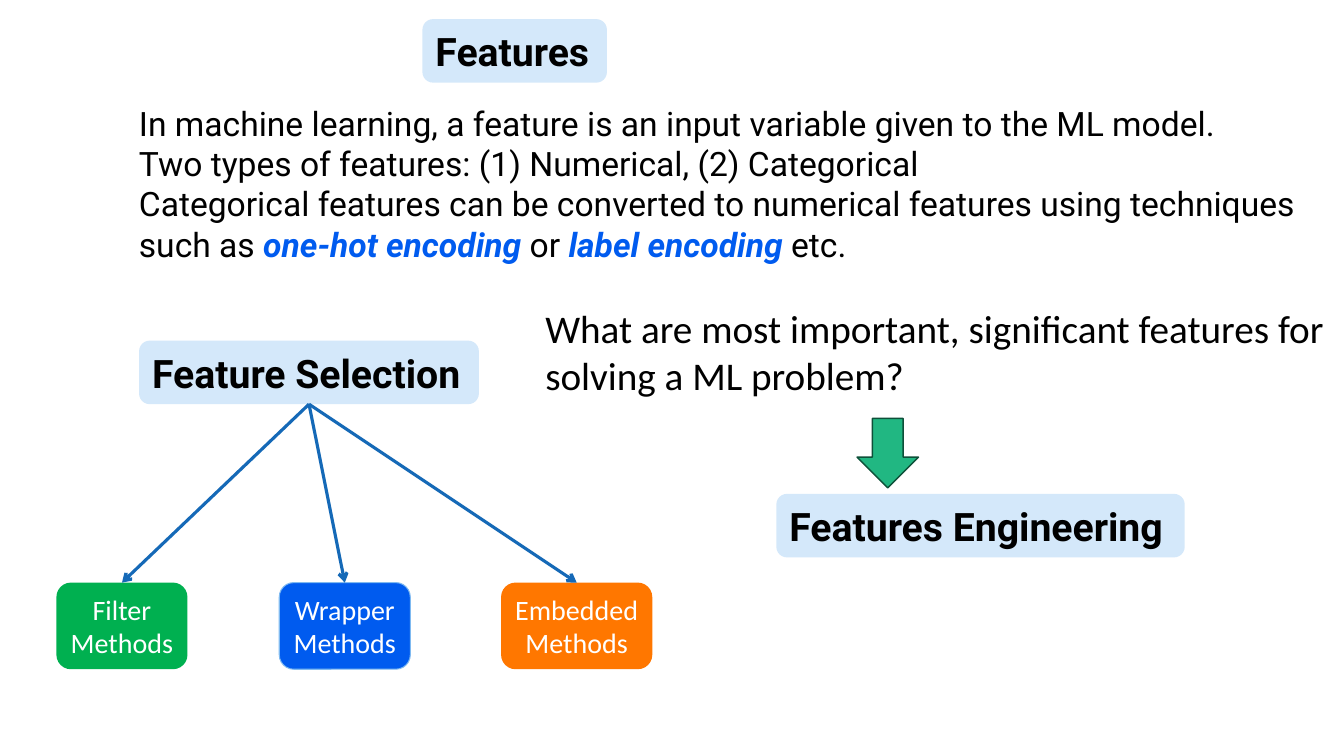
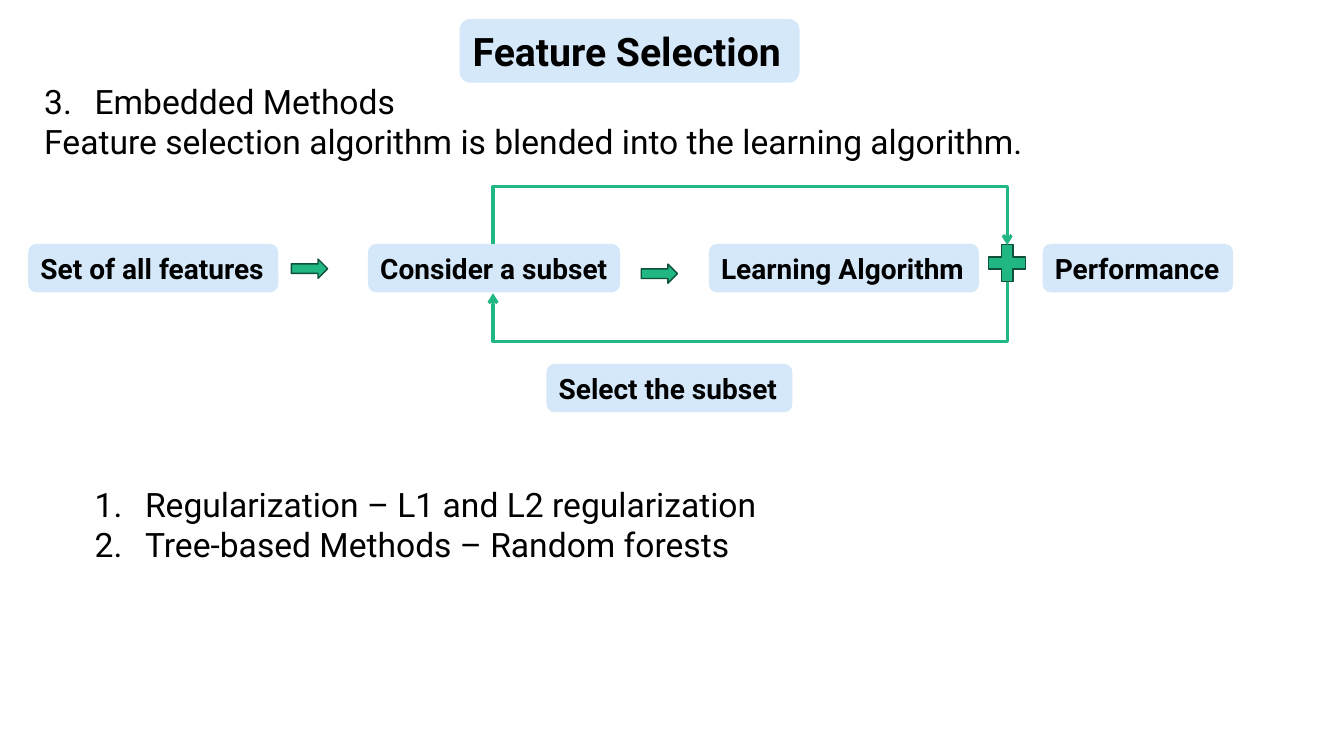
from dataclasses import dataclass
from typing import Any, NamedTuple

from lxml import etree
from pptx import Presentation, util as u
from pptx.dml.color import RGBColor
from pptx.enum import shapes, text
from pptx.oxml.ns import qn

HUES = {
    "black": "000000", "white": "FFFFFF", "pale": "D4E8FA", "blue": "005BEF",
    "sky": "7FBAF1", "steel": "1569B7", "leaf": "00B050", "orange": "FF7700",
    "green": "21B782", "dark": "0E5039",
}
KIND = shapes.MSO_SHAPE
LINK = shapes.MSO_CONNECTOR
TOP, BOTTOM = 0, 2  # connection sites of a box
PLUS_TOP, PLUS_BASE = 3, 1  # connection sites of a plus


class Run(NamedTuple):
    text: str
    key: bool = False  # blue bold italic key term


@dataclass
class Style:
    size: float
    face: str = "Roboto"
    hue: str = "black"
    bold: bool = False
    align: Any = text.PP_ALIGN.LEFT
    wrap: bool = True


@dataclass
class Para:
    runs: list[Run]
    number: int = 0  # first number of an ordered list
    indent: float = 0.5


@dataclass
class Box:
    left: float
    top: float
    wide: float
    high: float
    words: str
    fill: str = "pale"
    edge: str = ""


HEAD = Style(28, bold=True)
STEP = Style(20, bold=True)
BODY = Style(24)
ASK = Style(28, "Calibri")
LEAF = Style(20, "Calibri", "white", align=text.PP_ALIGN.CENTER, wrap=False)


def put(item: Any, **values: Any) -> None:
    for name, value in values.items():
        setattr(item, name, value)


def tint(name: str) -> RGBColor:
    return RGBColor.from_string(HUES[name])


def plain(words: str) -> list[Para]:
    return [Para([Run(line)]) for line in words.split("\n")]


def write(frame: Any, paras: list[Para], style: Style) -> None:
    frame.word_wrap = style.wrap
    for i, para in enumerate(paras):
        row = frame.add_paragraph() if i else frame.paragraphs[0]
        row.alignment = style.align
        if para.number:
            props = row._p.get_or_add_pPr()
            props.set("marL", str(u.Inches(para.indent)))
            props.set("indent", str(u.Inches(-0.5)))
            mark = etree.SubElement(props, qn("a:buAutoNum"))
            mark.set("type", "arabicPeriod")
            if para.number > 1:
                mark.set("startAt", str(para.number))
        for part in para.runs:
            run = row.add_run()
            run.text = part.text
            put(run.font, name=style.face, size=u.Pt(style.size),
                bold=style.bold or part.key, italic=part.key)
            run.font.color.rgb = tint("blue" if part.key else style.hue)


def note(slide: Any, left: float, top: float, wide: float, high: float,
         paras: list[Para], style: Style) -> None:
    box = slide.shapes.add_textbox(*map(u.Inches, (left, top, wide, high)))
    write(box.text_frame, paras, style)


def form(slide: Any, kind: Any, left: float, top: float, wide: float,
         high: float, fill: str, edge: str = "", thick: float = 1) -> Any:
    item = slide.shapes.add_shape(kind, *map(u.Inches, (left, top, wide, high)))
    item.shadow.inherit = False
    item.fill.solid()
    item.fill.fore_color.rgb = tint(fill)
    if edge:
        item.line.color.rgb = tint(edge)
        item.line.width = u.Pt(thick)
    else:
        item.line.fill.background()
    return item


def pill(slide: Any, box: Box, style: Style) -> Any:
    item = form(slide, KIND.ROUNDED_RECTANGLE, box.left, box.top, box.wide,
                box.high, box.fill, box.edge, 0.75)
    item.text_frame.vertical_anchor = text.MSO_ANCHOR.MIDDLE
    write(item.text_frame, plain(box.words), style)
    return item


def icon(slide: Any, kind: Any, left: float, top: float, wide: float,
         high: float) -> Any:
    return form(slide, kind, left, top, wide, high, "green", "dark")


def arrow(slide: Any, kind: Any, start: tuple[Any, int],
          end: tuple[Any, int], hue: str) -> Any:
    wire = slide.shapes.add_connector(kind, 0, 0, 0, 0)
    wire.begin_connect(*start)
    wire.end_connect(*end)
    wire.line.color.rgb = tint(hue)
    wire.line.width = u.Pt(2.25)
    props = wire._element.spPr
    tip = etree.SubElement(props.find(qn("a:ln")), qn("a:tailEnd"))
    tip.set("type", "arrow")
    etree.SubElement(props, qn("a:effectLst"))
    return wire


def loop(slide: Any, start: tuple[Any, int], end: tuple[Any, int],
         first: tuple[float, float], last: tuple[float, float],
         level: float) -> None:
    """Leave first upright, run across at level, then turn into last."""
    wire = arrow(slide, LINK.ELBOW, start, end, "green")
    (x1, y1), (x2, y2) = first, last
    wide, high = abs(y2 - y1), abs(x2 - x1)
    put(wire, left=u.Inches((x1 + x2 - wide) / 2),
        top=u.Inches((y1 + y2 - high) / 2),
        width=u.Inches(wide), height=u.Inches(high))
    props = wire._element.spPr
    frame = props.find(qn("a:xfrm"))
    for name in ("flipH", "flipV"):
        frame.attrib.pop(name, None)
    right = x2 > x1
    frame.set("rot", str((270 if right else 90) * 60000))
    if right:
        frame.set("flipH", "1")
    geom = props.find(qn("a:prstGeom"))
    for old in list(geom):
        geom.remove(old)
    guide = etree.SubElement(etree.SubElement(geom, qn("a:avLst")), qn("a:gd"))
    guide.set("name", "adj1")
    guide.set("fmla", f"val {round((level - y1) / wide * 100000)}")


def title(slide: Any, words: str, left: float, wide: float,
          top: float = 0.19) -> Any:
    return pill(slide, Box(left, top, wide, 0.63, words), HEAD)


def features(slide: Any) -> None:
    title(slide, "Features", 4.19, 1.83)
    intro = plain(
        "In machine learning, a feature is an input variable given to the ML model.\n"
        "Two types of features: (1) Numerical, (2) Categorical\n"
        "Categorical features can be converted to numerical features using techniques")
    intro.append(Para([Run("such as "), Run("one-hot encoding ", True), Run("or "),
                       Run("label encoding ", True), Run("etc.")]))
    note(slide, 1.28, 0.97, 11.8, 1.72, intro, BODY)

    # Selection tree
    root = title(slide, "Feature Selection", 1.38, 3.37, 3.38)
    leaves = [
        Box(0.56, 5.78, 1.3, 0.86, "Filter\nMethods", "leaf"),
        Box(2.77, 5.78, 1.3, 0.86, "Wrapper\nMethods", "blue", "sky"),
        Box(4.97, 5.78, 1.5, 0.86, "Embedded\nMethods", "orange"),
    ]
    for leaf in leaves:
        item = pill(slide, leaf, LEAF)
        arrow(slide, LINK.STRAIGHT, (root, BOTTOM), (item, TOP), "steel")

    # Question and answer
    note(slide, 5.31, 2.97, 8.01, 1.04, plain(
        "What are most important, significant features for\n"
        "solving a ML problem?"), ASK)
    title(slide, "Features Engineering", 7.7, 4.05, 4.9)
    icon(slide, KIND.DOWN_ARROW, 8.5, 4.15, 0.61, 0.69)


def embedded(slide: Any) -> None:
    note(slide, 0.34, 0.75, 12.72, 0.9, [
        Para([Run("Embedded Methods")], 3),
        Para([Run("Feature selection algorithm is blended into the learning algorithm.")]),
    ], BODY)
    title(slide, "Feature Selection", 4.56, 3.37)

    # Process row
    steps = [
        Box(0.28, 2.42, 2.48, 0.48, "Set of all features"),
        Box(3.65, 2.42, 2.5, 0.48, "Consider a subset"),
        Box(7.03, 2.42, 2.68, 0.48, "Learning Algorithm"),
        Box(10.34, 2.42, 1.89, 0.48, "Performance"),
        Box(5.42, 3.61, 2.44, 0.48, "Select the subset"),
    ]
    subset = [pill(slide, step, STEP) for step in steps][1]
    for left, top in ((2.89, 2.57), (6.36, 2.62)):
        icon(slide, KIND.RIGHT_ARROW, left, top, 0.36, 0.19)
    plus = icon(slide, KIND.MATH_PLUS, 9.74, 2.36, 0.5, 0.5)

    # Feedback loop
    loop(slide, (subset, TOP), (plus, PLUS_TOP), (4.89, 2.42), (9.99, 2.43), 1.84)
    loop(slide, (plus, PLUS_BASE), (subset, BOTTOM), (9.99, 2.8), (4.89, 2.91), 3.39)

    # Examples
    note(slide, 0.34, 4.75, 12.72, 0.9, [
        Para([Run(line)], 1, 1) for line in (
            "Regularization – L1 and L2 regularization",
            "Tree-based Methods – Random forests")
    ], BODY)


def main() -> None:
    deck = Presentation()
    put(deck, slide_width=u.Inches(13.33), slide_height=u.Inches(7.5))
    for draw in (features, embedded):
        draw(deck.slides.add_slide(deck.slide_layouts[6]))
    deck.save("out.pptx")


if __name__ == "__main__":
    main()
